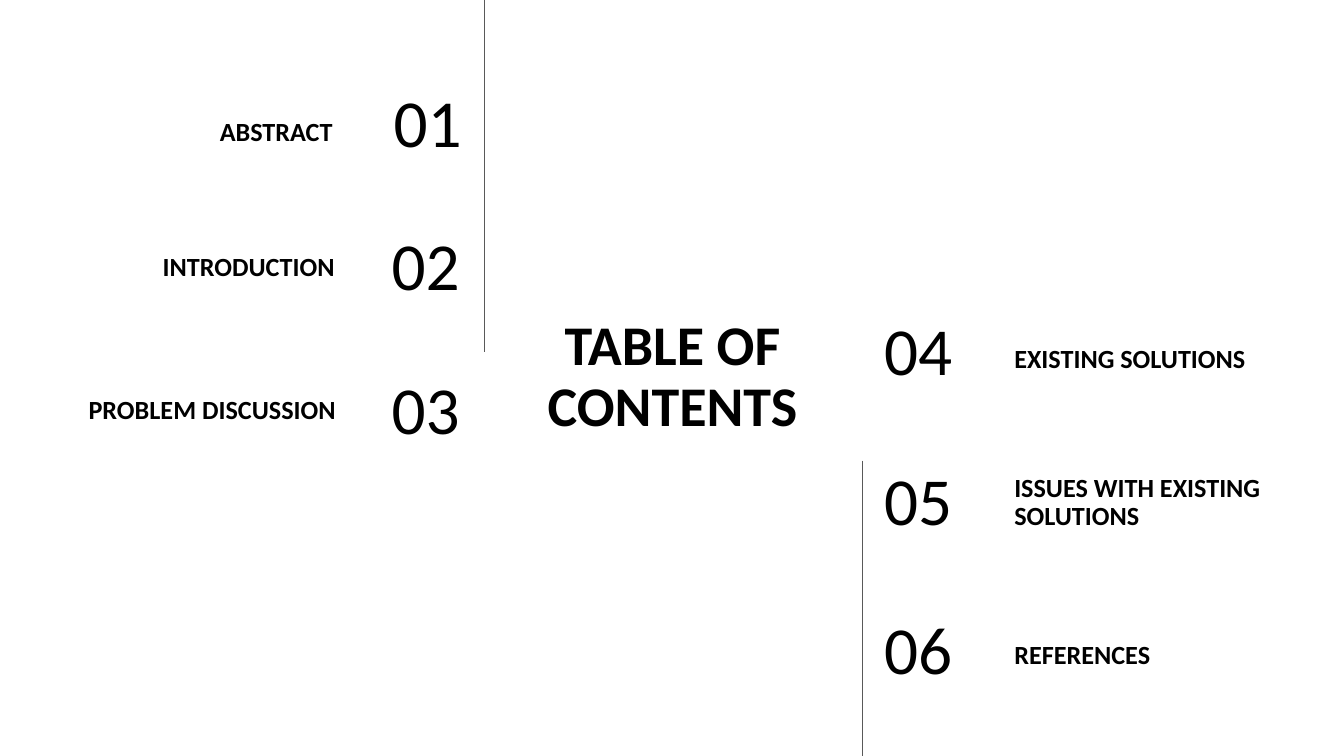
from lxml.etree import SubElement
from pptx import Presentation
from pptx.dml.color import RGBColor
from pptx.enum.shapes import MSO_CONNECTOR
from pptx.enum.text import MSO_ANCHOR as Anchor, PP_ALIGN as Align
from pptx.oxml.ns import qn
from pptx.util import Inches, Pt

COLORS = {"text": "000000", "divider": "595959"}
FONT = "Calibri"
SLIDE_W, SLIDE_H = 13.33, 7.5
ROW_H = 0.84
INSET = 0.13

TITLE = "TABLE OF CONTENTS"
# label, label left, label top, label width, number left
LEFT_SECTIONS = [
    ("ABSTRACT", 0.55, 0.75, 2.88, 3.09),
    ("INTRODUCTION", 0.57, 2.09, 2.88, 3.07),
    ("PROBLEM DISCUSSION", 0.37, 3.51, 3.09, 3.07),
]
RIGHT_SECTIONS = [
    ("EXISTING SOLUTIONS", 9.93, 3.0, 2.88, 8.64),
    ("ISSUES WITH EXISTING SOLUTIONS", 9.93, 4.56, 3.04, 8.64),
    ("REFERENCES", 9.93, 5.94, 2.88, 8.64),
]
# sections, first number, number top, row pitch, number width, alignment
COLUMNS = [
    (LEFT_SECTIONS, 1, 0.83, 1.42, 1.62, Align.RIGHT),
    (RIGHT_SECTIONS, 4, 3.09, 1.485, 1.56, Align.LEFT),
]
# x, top, bottom
DIVIDERS = [(4.81, 0, 3.49), (8.55, 4.57, SLIDE_H)]

prs = Presentation()
prs.slide_width, prs.slide_height = Inches(SLIDE_W), Inches(SLIDE_H)
slide = prs.slides.add_slide(prs.slide_layouts[6])


def add_text(text, left, top, width, height=ROW_H, *, size, align,
             bold=False, anchor=Anchor.MIDDLE):
    box = slide.shapes.add_textbox(*map(Inches, (left, top, width, height)))
    frame = box.text_frame
    frame.word_wrap = True
    frame.vertical_anchor = anchor
    frame.margin_left = frame.margin_right = Inches(INSET)
    frame.margin_top = frame.margin_bottom = Inches(INSET)
    paragraph = frame.paragraphs[0]
    paragraph.alignment = align
    paragraph.line_spacing = 0.9
    run = paragraph.add_run()
    run.text = text
    run.font.name = FONT
    run.font.size = Pt(size)
    run.font.bold = bold
    run.font.color.rgb = RGBColor.from_string(COLORS["text"])


def add_divider(x, top, bottom):
    divider = slide.shapes.add_connector(
        MSO_CONNECTOR.STRAIGHT, *map(Inches, (x, top, x, bottom)))
    divider.line.width = Pt(0.75)
    divider.line.color.rgb = RGBColor.from_string(COLORS["divider"])
    SubElement(divider._element.spPr, qn("a:effectLst"))


add_text(TITLE, 4.94, 3.06, 3.46, 1.38, size=40, align=Align.CENTER, bold=True)

for sections, first, number_top, pitch, number_w, align in COLUMNS:
    for row, (label, left, top, width, number_left) in enumerate(sections):
        add_text(f"{first + row:02d}", number_left, number_top + row * pitch,
                 number_w, size=48, align=align)
        add_text(label, left, top, width, size=18.7, align=align, bold=True,
                 anchor=Anchor.BOTTOM)

for divider_ends in DIVIDERS:
    add_divider(*divider_ends)

prs.save("out.pptx")
